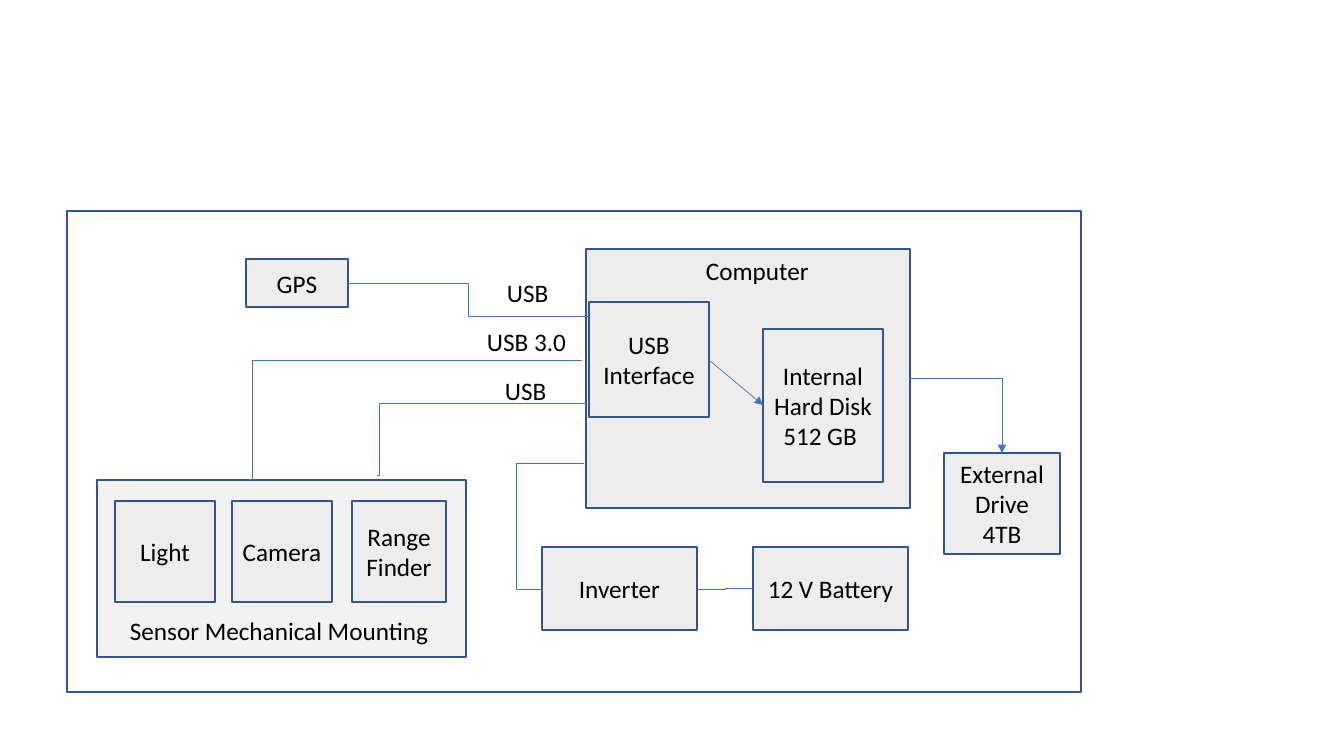
from dataclasses import dataclass

import pptx
import pptx.util
import pptx.dml.color
import pptx.enum.shapes
import pptx.enum.text
import pptx.oxml
import pptx.oxml.ns
from pptx.slide import Slide

SCALE = 914400 / 100.8
FONT = "Calibri"
INK = {"edge": "325491", "wire": "4472C4", "text": "000000",
       "box": "EDEDED", "mount": "F2F2F2"}


@dataclass
class Box:
    """A rectangle, with centred text if any."""
    left: int
    top: int
    width: int
    height: int
    text: str = ""
    fill: str = "box"


@dataclass
class Label:
    """Free text, left aligned."""
    left: int
    top: int
    width: int
    text: str
    wrap: bool = True


@dataclass
class Wire:
    """A connector; bend is where its middle leg sits, as a share of the width."""
    start: tuple[int, int]
    end: tuple[int, int]
    bend: float = 0.5
    kind: str = "bentConnector3"
    arrow: bool = False


SENSOR_TOP, SENSOR_SIDE = 501, 101
POWER_TOP, POWER_WIDTH, POWER_HEIGHT = 547, 155, 83
LABEL_HEIGHT = 40

BOXES = [
    Box(67, 211, 1014, 481, fill=""),
    Box(97, 480, 369, 177, fill="mount"),
    Box(115, SENSOR_TOP, 100, SENSOR_SIDE, "Light"),
    Box(232, SENSOR_TOP, 100, SENSOR_SIDE, "Camera"),
    Box(352, SENSOR_TOP, 94, SENSOR_SIDE, "Range Finder"),
    Box(586, 249, 324, 259),
    Box(246, 259, 102, 48, "GPS"),
    Box(763, 329, 120, 153, "Internal Hard Disk 512 GB "),
    Box(589, 302, 120, 115, "USB Interface"),
    Box(944, 453, 116, 101, "External Drive 4TB"),
    Box(542, POWER_TOP, POWER_WIDTH, POWER_HEIGHT, "Inverter"),
    Box(753, POWER_TOP, POWER_WIDTH, POWER_HEIGHT, "12 V Battery"),
]
WIRES = [
    Wire((582, 360), (249, 479), 0.99),
    Wire((586, 403), (377, 475), 0.99),
    Wire((348, 283), (589, 316)),
    Wire((709, 360), (763, 405), kind="line", arrow=True),
    Wire((910, 378), (1002, 453), kind="bentConnector2", arrow=True),
    Wire((542, 589), (584, 463), -0.61),
    Wire((753, 588), (697, 589)),
]
LABELS = [
    Label(477, 321, 113, "USB 3.0"),
    Label(497, 272, 69, "USB"),
    Label(696, 250, 129, "Computer"),
    Label(495, 370, 62, "USB", wrap=False),
    Label(120, 610, 323, "Sensor Mechanical Mounting", wrap=False),
]


def emu(*sizes: int) -> list[int]:
    """Turn pixels into EMU."""
    return [round(size * SCALE) for size in sizes]


def shade(name: str) -> pptx.dml.color.RGBColor:
    """Look up a colour by name."""
    return pptx.dml.color.RGBColor.from_string(INK[name])


def write(frame, text: str, align) -> None:
    """Put one styled paragraph in a text frame."""
    frame.text = text
    para = frame.paragraphs[0]
    para.alignment = align
    para.font.name = FONT
    para.font.size = pptx.util.Pt(18)
    para.font.color.rgb = shade("text")


def draw_box(slide: Slide, box: Box) -> None:
    """Draw a rectangle and its text."""
    shape = slide.shapes.add_shape(
        pptx.enum.shapes.MSO_SHAPE.RECTANGLE,
        *emu(box.left, box.top, box.width, box.height))
    shape.shadow.inherit = False
    shape.line.color.rgb = shade("edge")
    shape.line.width = pptx.util.Pt(1)
    if box.fill:
        shape.fill.solid()
        shape.fill.fore_color.rgb = shade(box.fill)
    else:
        shape.fill.background()
    if box.text:
        shape.text_frame.vertical_anchor = pptx.enum.text.MSO_ANCHOR.MIDDLE
        write(shape.text_frame, box.text, pptx.enum.text.PP_ALIGN.CENTER)


def draw_wire(slide: Slide, wire: Wire) -> None:
    """Draw a straight or bent connector."""
    kinds = pptx.enum.shapes.MSO_CONNECTOR
    kind = kinds.STRAIGHT if wire.kind == "line" else kinds.ELBOW
    line = slide.shapes.add_connector(kind, *emu(*wire.start, *wire.end))
    line.line.color.rgb = shade("wire")
    line.line.width = pptx.util.Pt(0.5)
    qn = pptx.oxml.ns.qn
    props = line._element.spPr
    geom = props.find(qn("a:prstGeom"))
    geom.set("prst", wire.kind)
    if wire.kind == "bentConnector3":
        guides = geom.get_or_add_avLst()
        guide = guides.makeelement(qn("a:gd"), {
            "name": "adj1", "fmla": f"val {round(wire.bend * 100000)}"})
        guides.append(guide)
    if wire.arrow:
        stroke = props.find(qn("a:ln"))
        stroke.append(stroke.makeelement(qn("a:tailEnd"), {"type": "triangle"}))
    props.append(props.makeelement(qn("a:effectLst"), {}))


def draw_label(slide: Slide, label: Label) -> None:
    """Draw a text box that fits its text."""
    shape = slide.shapes.add_textbox(
        *emu(label.left, label.top, label.width, LABEL_HEIGHT))
    frame = shape.text_frame
    frame.word_wrap = label.wrap
    frame.auto_size = pptx.enum.text.MSO_AUTO_SIZE.SHAPE_TO_FIT_TEXT
    write(frame, label.text, pptx.enum.text.PP_ALIGN.LEFT)


def main() -> None:
    """Build the system diagram."""
    deck = pptx.Presentation()
    deck.slide_width, deck.slide_height = emu(1344, 756)
    slide = deck.slides.add_slide(deck.slide_layouts[6])
    for box in BOXES:
        draw_box(slide, box)
    for wire in WIRES:
        draw_wire(slide, wire)
    for label in LABELS:
        draw_label(slide, label)
    deck.save("out.pptx")


main()
